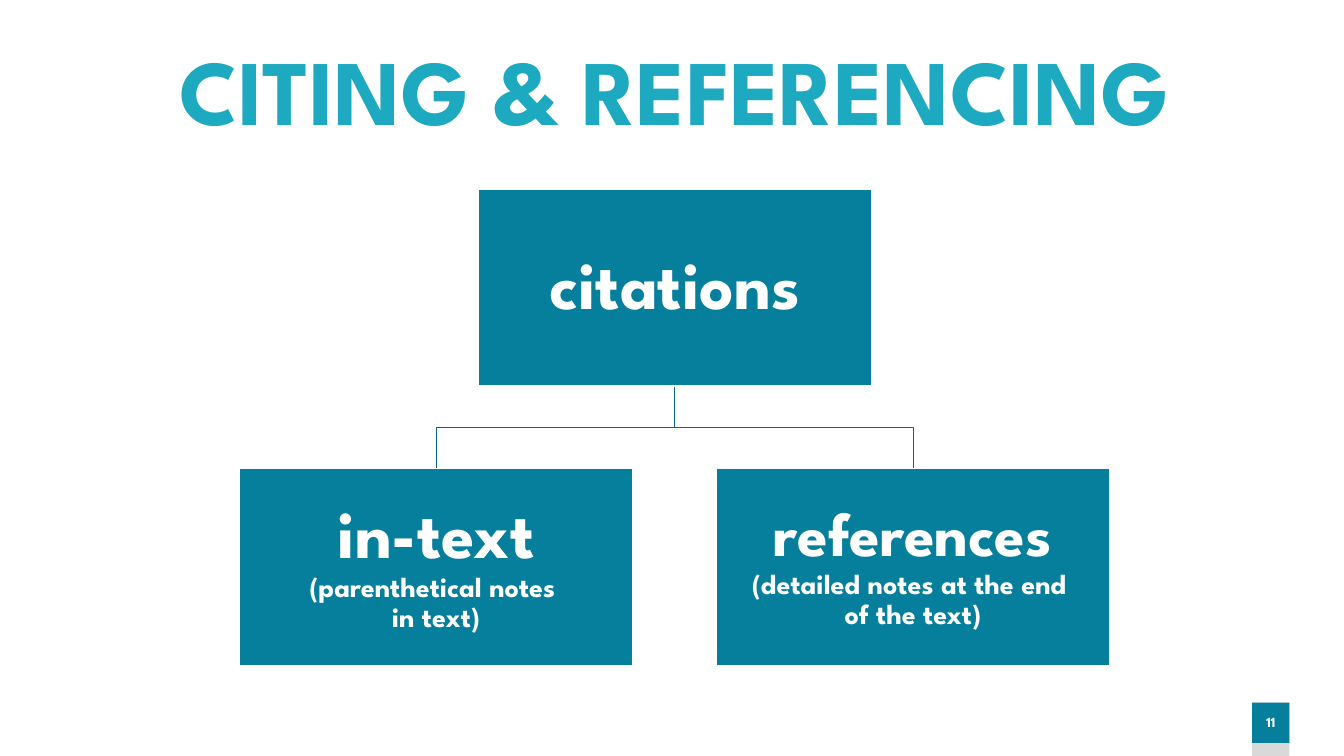
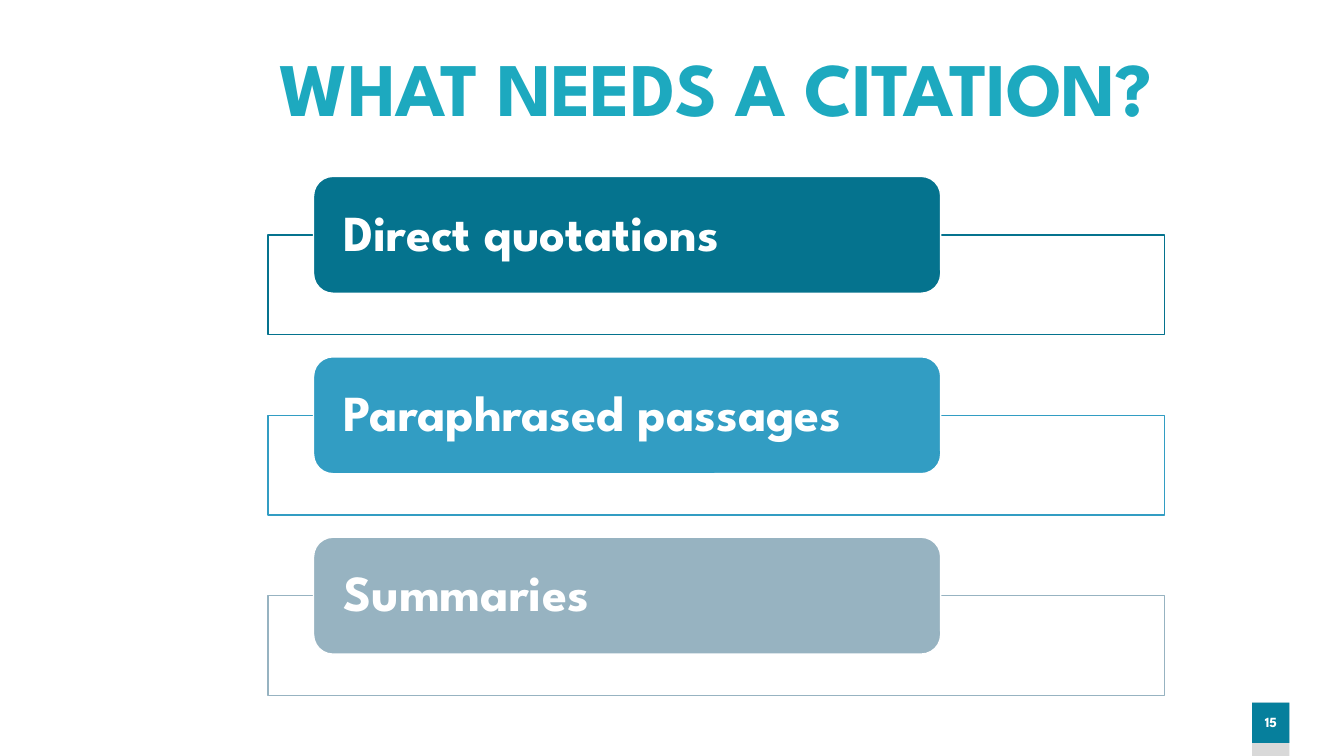
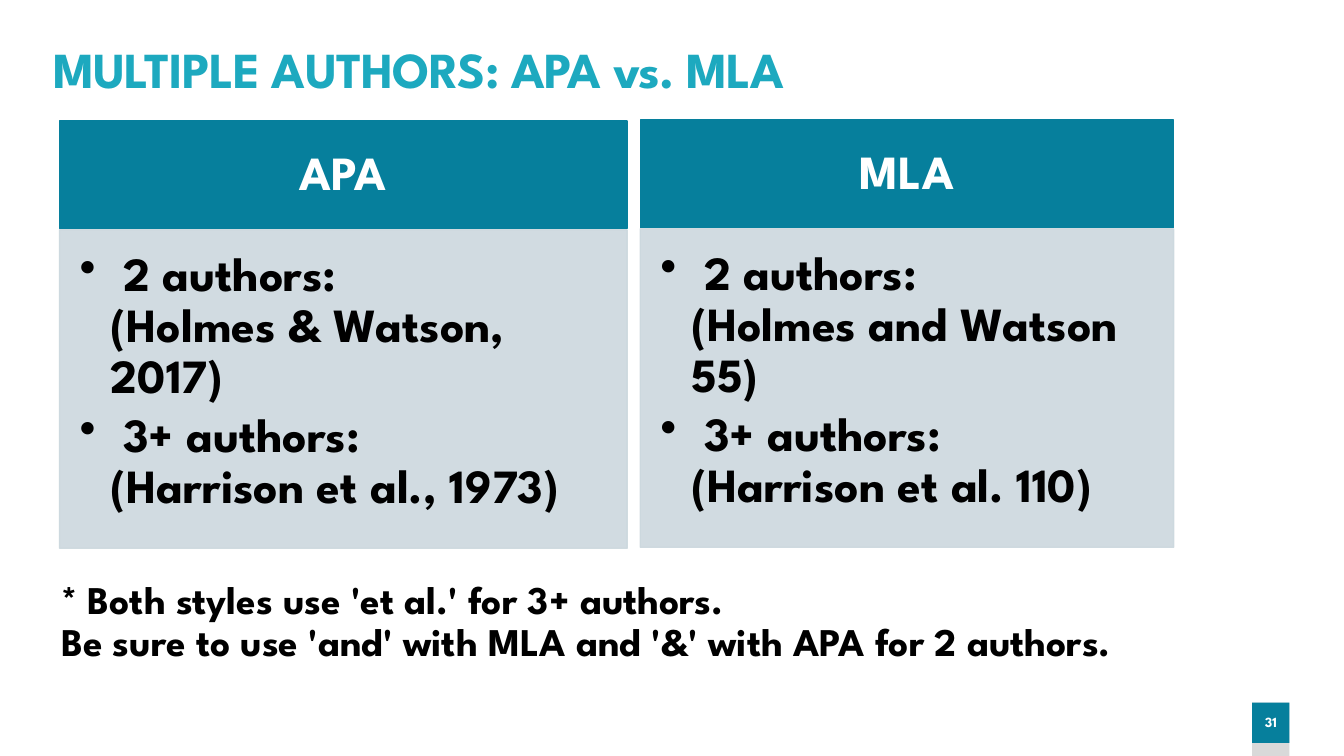
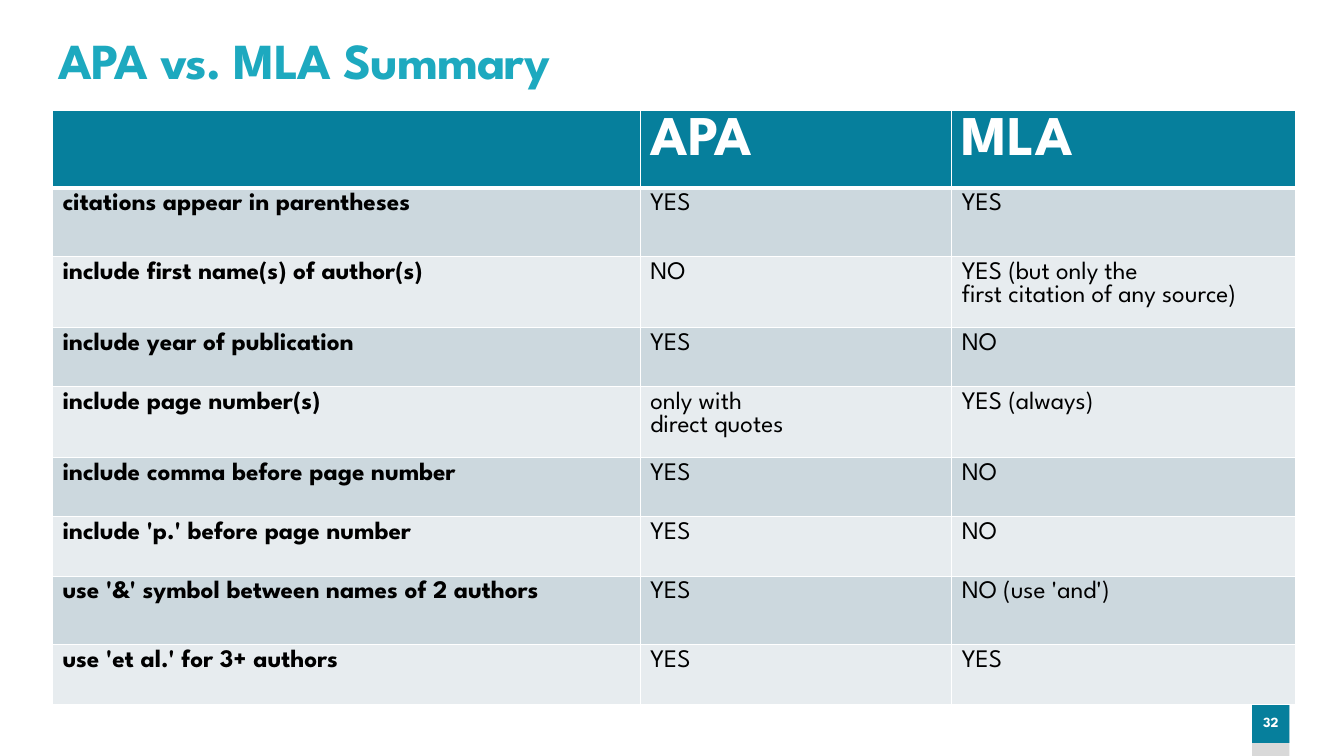
from lxml.etree import SubElement
from pptx import Presentation
from pptx.dml.color import RGBColor
from pptx.enum.shapes import MSO_SHAPE as Preset
from pptx.enum.text import MSO_ANCHOR as Anchor, PP_ALIGN as Align
from pptx.oxml.ns import qn
from pptx.util import Inches, Pt

FONT = "League Spartan"
COLORS = {
    "title": "1DA9BF",
    "teal": "067F9C",
    "branch": "05667D",
    "deep": "05738E",
    "sky": "329DC3",
    "mist": "97B3C1",
    "panel": "CCD8DE",
    "pale": "E7ECEF",
    "tab": "D9D9D9",
    "white": "FFFFFF",
    "black": "000000",
}
SUMMARY = [
    ("", "APA", "MLA"),
    ("citations appear in parentheses", "YES", "YES"),
    ("include first name(s) of author(s)", "NO",
     "YES (but only the \nfirst citation of any source)"),
    ("include year of publication", "YES", "NO"),
    ("include page number(s)", "only with \ndirect quotes", "YES (always)"),
    ("include comma before page number", "YES", "NO"),
    ("include 'p.' before page number", "YES", "NO"),
    ("use '&' symbol between names of 2 authors", "YES", "NO (use 'and')"),
    ("use 'et al.' for 3+ authors", "YES", "YES"),
]
COLUMN_WIDTHS = [5.83, 3.09, 3.41]
ROW_HEIGHTS = [0.74, 0.68, 0.69, 0.59, 0.59, 0.59, 0.59, 0.68, 0.59]


def rgb(name):
    """Return the named colour."""
    return RGBColor.from_string(COLORS[name])


def write(paragraph, pieces, color="white", align=Align.LEFT, spacing=0.9,
          bold=True, tracking=0):
    """Add (text, size) pieces as runs, breaking lines at newlines."""
    paragraph.alignment = align
    paragraph.line_spacing = spacing
    for text, size in pieces:
        for index, line in enumerate(text.split("\n")):
            if index:
                paragraph.add_line_break()
            if not line:
                continue
            run = paragraph.add_run()
            run.text = line
            run.font.name = FONT
            run.font.size = Pt(size)
            run.font.bold = bold
            run.font.color.rgb = rgb(color)
            if tracking:
                run.font._element.set("spc", str(tracking))


def set_frame(frame, insets, anchor):
    """Set wrapping, insets and vertical anchor of a text frame."""
    frame.word_wrap = True
    frame.vertical_anchor = anchor
    (frame.margin_left, frame.margin_top,
     frame.margin_right, frame.margin_bottom) = map(Inches, insets)


def add_box(slide, place, fill, line=None, preset=Preset.RECTANGLE, alpha=None,
            insets=(0.03, 0.03, 0.03, 0.03), anchor=Anchor.MIDDLE):
    """Add a filled preset shape and return it."""
    box = slide.shapes.add_shape(preset, *map(Inches, place))
    box.shadow.inherit = False
    box.fill.solid()
    box.fill.fore_color.rgb = rgb(fill)
    if line:
        box.line.color.rgb = rgb(line)
        box.line.width = Pt(1)
    else:
        box.line.fill.background()
    if alpha:
        for color in box._element.spPr.iter(qn("a:srgbClr")):
            SubElement(color, qn("a:alpha")).set("val", str(alpha * 1000))
    set_frame(box.text_frame, insets, anchor)
    return box


def add_text(slide, place, text, size, color="title", **style):
    """Add a top-anchored text box."""
    frame = slide.shapes.add_textbox(*map(Inches, place)).text_frame
    set_frame(frame, (0.1, 0.05, 0.1, 0.05), Anchor.TOP)
    write(frame.paragraphs[0], [(text, size)], color, **style)


def add_slide(deck, number):
    """Add a blank slide with its page number tab."""
    slide = deck.slides.add_slide(deck.slide_layouts[6])
    add_box(slide, (12.42, 6.97, 0.37, 0.53), "tab")
    page = add_box(slide, (12.42, 6.97, 0.37, 0.4), "teal",
                   insets=(0, 0.05, 0, 0.05))
    write(page.text_frame.paragraphs[0], [(str(number), 10)],
          align=Align.CENTER)
    return slide


def add_branch(slide, start, end):
    """Draw a stepped line from a parent box down to a child box."""
    (x1, y1), (x2, y2) = start, end
    middle = (y1 + y2) / 2
    builder = slide.shapes.build_freeform(Inches(x1), Inches(y1))
    corners = [(x1, middle), (x2, middle), (x2, y2)]
    builder.add_line_segments(
        [(Inches(x), Inches(y)) for x, y in corners], close=False)
    branch = builder.convert_to_shape()
    branch.shadow.inherit = False
    branch.fill.background()
    branch.line.color.rgb = rgb("branch")
    branch.line.width = Pt(1)


def add_node(slide, left, top, pieces):
    """Add one box of the citation tree."""
    node = add_box(slide, (left, top, 3.91, 1.95), "teal", "white")
    write(node.text_frame.paragraphs[0], pieces, align=Align.CENTER)


def add_category(slide, top, name, color):
    """Add a rounded label over an outlined bar."""
    add_box(slide, (2.66, top + 0.58, 8.89, 0.99), "white", color)
    label = add_box(slide, (3.11, top, 6.22, 1.16), color, "white",
                    Preset.ROUNDED_RECTANGLE, insets=(0.24, 0, 0.24, 0))
    write(label.text_frame.paragraphs[0], [(name, 36)])


def add_style_panel(slide, left, top, width, name, rules):
    """Add a headed panel with bulleted citation rules."""
    header = add_box(slide, (left, top, width, 1.07), "teal", "teal")
    write(header.text_frame.paragraphs[0], [(name, 34)], align=Align.CENTER)
    body = add_box(slide, (left, top + 1.08, width, 3.16), "panel", "panel",
                   alpha=90, insets=(0.2, 0.2, 0.26, 0.3), anchor=Anchor.TOP)
    frame = body.text_frame
    for index, rule in enumerate(rules):
        paragraph = frame.add_paragraph() if index else frame.paragraphs[0]
        write(paragraph, [(rule, 34)], "black")
        paragraph.space_after = Pt(5)
        properties = paragraph._p.get_or_add_pPr()
        properties.set("marL", str(Inches(0.31)))
        properties.set("indent", str(-Inches(0.31)))
        SubElement(properties, qn("a:buChar")).set("char", "•")


def set_borders(cell, bottom):
    """Give a cell white borders, with its own bottom width in points."""
    properties = cell._tc.get_or_add_tcPr()
    for side, width in (("L", 1), ("R", 1), ("T", 1), ("B", bottom)):
        border = SubElement(properties, qn(f"a:ln{side}"))
        border.set("w", str(Pt(width)))
        fill = SubElement(border, qn("a:solidFill"))
        SubElement(fill, qn("a:srgbClr")).set("val", COLORS["white"])


def add_summary(slide):
    """Add the table that compares both styles."""
    table = slide.shapes.add_table(
        len(SUMMARY), len(COLUMN_WIDTHS), Inches(0.52), Inches(1.1),
        Inches(sum(COLUMN_WIDTHS)), Inches(sum(ROW_HEIGHTS))).table
    for column, width in zip(table.columns, COLUMN_WIDTHS):
        column.width = Inches(width)
    for row, height in zip(table.rows, ROW_HEIGHTS):
        row.height = Inches(height)
    for r, entries in enumerate(SUMMARY):
        heading = r == 0
        shade = "teal" if heading else ("pale", "panel")[r % 2]
        for c, entry in enumerate(entries):
            cell = table.cell(r, c)
            set_borders(cell, 3 if heading else 1)
            cell.fill.solid()
            cell.fill.fore_color.rgb = rgb(shade)
            if entry:
                write(cell.text_frame.paragraphs[0],
                      [(entry, 40 if heading else 18)],
                      "white" if heading else "black",
                      spacing=1.0, bold=heading or c == 0)


def build_tree(deck):
    """Build the slide on citing and referencing."""
    slide = add_slide(deck, 11)
    for x in (9.06, 4.33):
        add_branch(slide, (6.69, 3.83), (x, 4.65))
    add_node(slide, 4.74, 1.88, [("citations", 48)])
    add_node(slide, 2.37, 4.65,
             [("in-text", 48), ("\n(parenthetical notes \nin text)", 20)])
    add_node(slide, 7.1, 4.65,
             [("references", 44),
              ("\n(detailed notes at the end \nof the text)", 20)])
    add_text(slide, (0.61, 0.4, 12.16, 0.64), "CITING & REFERENCING", 66,
             align=Align.CENTER)


def build_categories(deck):
    """Build the slide on what needs a citation."""
    slide = add_slide(deck, 15)
    categories = [("Direct quotations", "deep"),
                  ("Paraphrased passages", "sky"),
                  ("Summaries", "mist")]
    for index, (name, color) in enumerate(categories):
        add_category(slide, 1.75 + index * 1.79, name, color)
    add_text(slide, (2.14, 0.46, 9.92, 0.65), "WHAT NEEDS A CITATION?", 54,
             align=Align.CENTER, tracking=-60)


def build_authors(deck):
    """Build the slide on multiple authors."""
    slide = add_slide(deck, 31)
    add_text(slide, (0.43, 0.4, 9.25, 1.32), "MULTIPLE AUTHORS: APA vs. MLA",
             36, tracking=-60)
    add_style_panel(slide, 6.35, 1.19, 5.29, "MLA",
                    [" 2 authors:\n(Holmes and Watson 55)",
                     " 3+ authors: \n(Harrison et al. 110)"])
    add_style_panel(slide, 0.59, 1.2, 5.63, "APA",
                    [" 2 authors:\n(Holmes & Watson, 2017)",
                     " 3+ authors: \n(Harrison et al., 1973)"])
    add_text(slide, (0.51, 5.71, 12.4, 0.56),
             "* Both styles use 'et al.' for 3+ authors. \n"
             "Be sure to use 'and' with MLA and '&' with APA for 2 authors.",
             28, "black")


def build_summary(deck):
    """Build the summary slide."""
    slide = add_slide(deck, 32)
    add_text(slide, (0.48, 0.31, 9.25, 1.32), "APA vs. MLA Summary", 36,
             tracking=-60)
    add_summary(slide)


def main():
    """Build and save the presentation."""
    deck = Presentation()
    deck.slide_width = Inches(13.33)
    deck.slide_height = Inches(7.5)
    build_tree(deck)
    build_categories(deck)
    build_authors(deck)
    build_summary(deck)
    deck.save("out.pptx")


if __name__ == "__main__":
    main()
